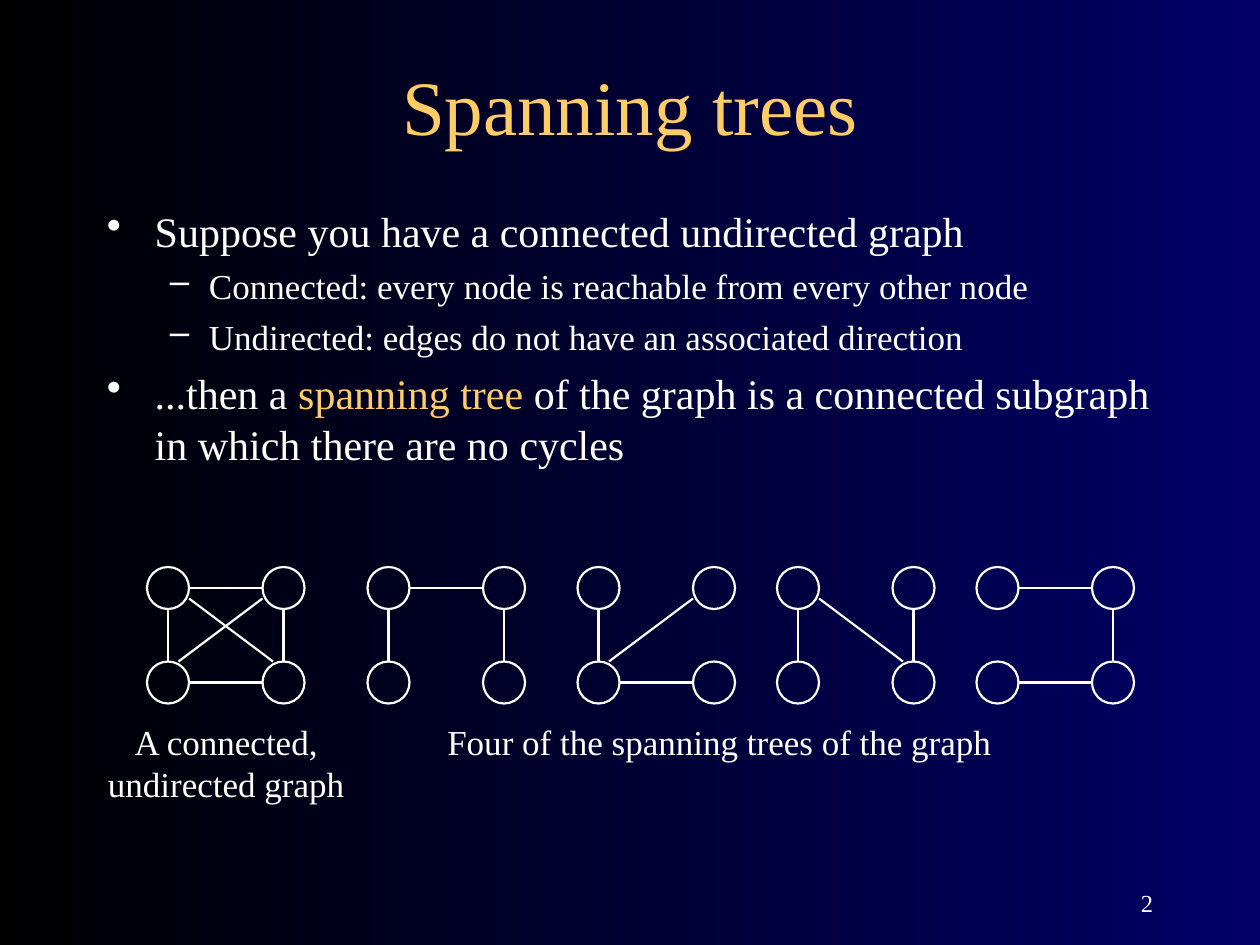
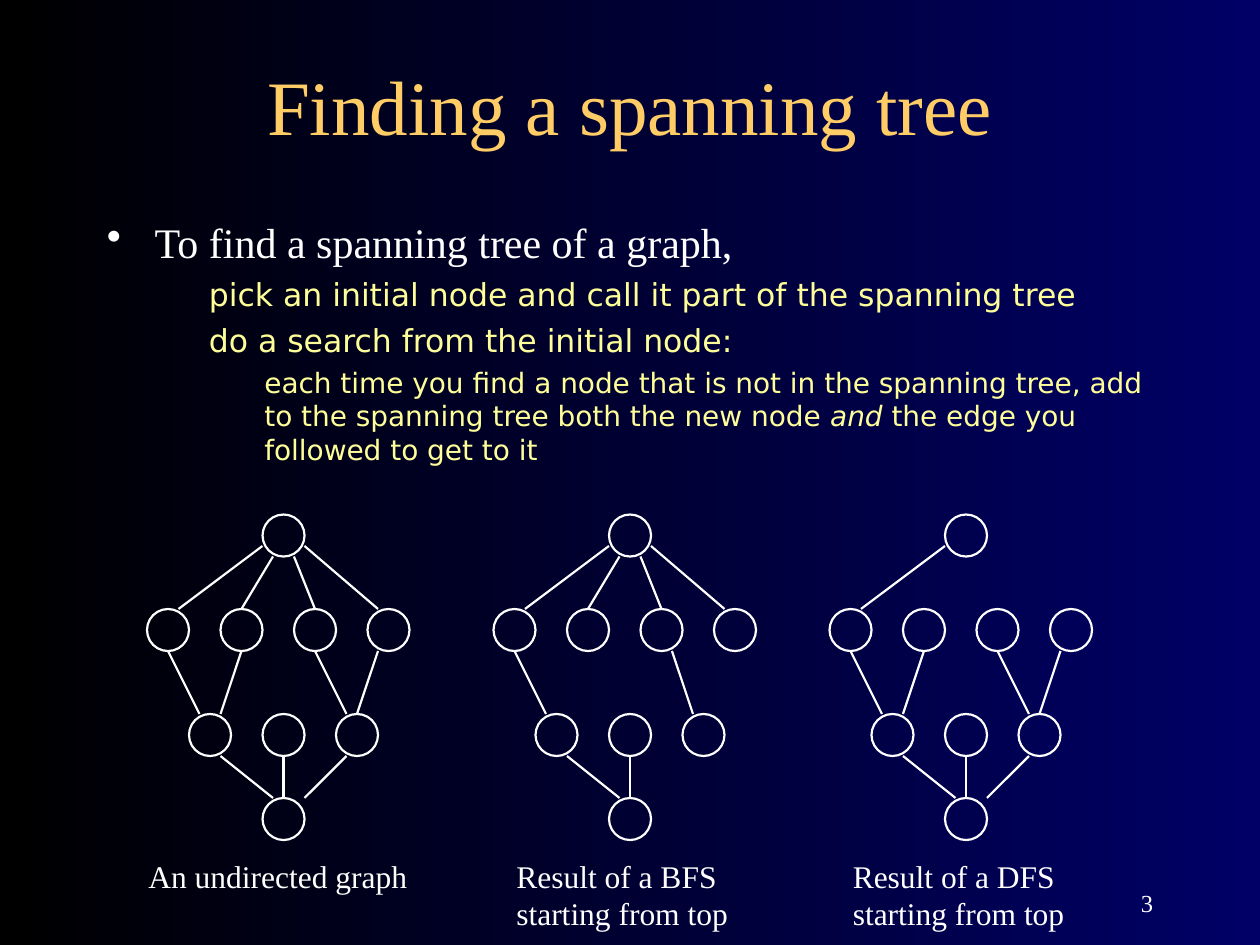
from lxml import etree
from pptx import Presentation
from pptx import util as u
from pptx.dml import color
from pptx.enum import shapes, text
from pptx.oxml import ns

WHITE, GOLD, YELLOW, NAVY, BLACK = "FFFFFF", "FFCC66", "FFFF99", "000066", "000000"
SERIF, SANS = "Times New Roman", "DejaVu Sans"
NODE = 4

LEVELS = {
    "point": dict(level=0, left=0.38, hang=0.38, bullet="•", size=24, font=SERIF, hue=WHITE),
    "detail": dict(level=1, left=0.81, hang=0.31, bullet="–", size=20, font=SERIF, hue=WHITE),
    "step": dict(level=1, left=0.81, hang=0, bullet=None, size=18, font=SANS, hue=YELLOW),
    "substep": dict(level=2, left=1.25, hang=0, bullet=None, size=16, font=SANS, hue=YELLOW),
}

SQUARE_NODES = [(x, y) for x in (0, 11) for y in (0, 9)]
SQUARE_EDGES = {
    "left": (2, 4, 2, 9),
    "right": (13, 4, 13, 9),
    "top": (4, 2, 11, 2),
    "bottom": (4, 11, 11, 11),
    "rising": (3, 9, 11, 3),
    "falling": (4, 3, 12, 9),
}
SPANNING_TREES = [
    (35, ["left", "right", "top"]),
    (55, ["left", "bottom", "rising"]),
    (74, ["left", "right", "falling"]),
    (93, ["right", "top", "bottom"]),
]

LAYERS = [(0, [11]), (9, [0, 7, 14, 21]), (19, [4, 11, 18]), (27, [11])]
LAYERED_NODES = [(x, y) for y, xs in LAYERS for x in xs]
LAYERED_EDGES = {
    "ab": (11, 3, 3, 9),
    "ac": (9, 9, 12, 4),
    "ad": (16, 9, 14, 4),
    "ae": (22, 9, 15, 3),
    "bf": (5, 19, 2, 13),
    "cf": (9, 13, 7, 19),
    "dh": (16, 13, 19, 19),
    "dh steep": (17, 13, 19, 19),
    "eh": (22, 13, 20, 19),
    "fi": (7, 23, 12, 27),
    "gi": (13, 23, 13, 27),
    "hi": (19, 23, 15, 27),
}
SEARCHES = [
    (14, ["ab", "ac", "ad", "ae", "bf", "cf", "dh", "eh", "fi", "gi", "hi"],
     "An undirected graph", (1.08, 6.75, 2.5, 0.4)),
    (47, ["ab", "ac", "ad", "ae", "bf", "dh steep", "fi", "gi"],
     "Result of a BFS\nstarting from top", (4, 6.75, 2, 0.7)),
    (79, ["ab", "bf", "cf", "dh", "eh", "fi", "gi", "hi"],
     "Result of a DFS\nstarting from top", (6.67, 6.75, 2, 0.7)),
]


def rgb(value):
    return color.RGBColor.from_string(value)


def twelfths(*values):
    return [u.Inches(v / 12) for v in values]


def style(font, size, hue, name=SERIF):
    font.name = name
    font.size = u.Pt(size)
    font.color.rgb = rgb(hue)


def add_box(parent, at, anchor=text.MSO_ANCHOR.TOP):
    tf = parent.shapes.add_textbox(*map(u.Inches, at)).text_frame
    tf.word_wrap = True
    tf.vertical_anchor = anchor
    return tf


def add_label(parent, at, words, size, hue=WHITE, align=text.PP_ALIGN.LEFT,
              anchor=text.MSO_ANCHOR.TOP):
    p = add_box(parent, at, anchor).paragraphs[0]
    p.text = words
    p.alignment = align
    for r in p.runs:
        style(r.font, size, hue)


def set_bullet(p, left, hang, bullet):
    pPr = p._p.get_or_add_pPr()
    pPr.set("marL", str(u.Inches(left)))
    pPr.set("indent", str(-u.Inches(hang)))
    if bullet:
        etree.SubElement(pPr, ns.qn("a:buChar")).set("char", bullet)
    else:
        etree.SubElement(pPr, ns.qn("a:buNone"))


def add_body(s, at, items):
    tf = add_box(s, at)
    for i, (kind, *runs) in enumerate(items):
        look = LEVELS[kind]
        p = tf.add_paragraph() if i else tf.paragraphs[0]
        p.level = look["level"]
        set_bullet(p, look["left"], look["hang"], look["bullet"])
        if i:
            p.space_before = u.Pt(look["size"] / 4)
        for words, *emphasis in runs:
            r = p.add_run()
            r.text = words
            hue = GOLD if "term" in emphasis else look["hue"]
            style(r.font, look["size"], hue, look["font"])
            if "italic" in emphasis:
                r.font.italic = True


def add_slide(prs, title, number):
    s = prs.slides.add_slide(prs.slide_layouts[6])
    fill = s.background.fill
    fill.gradient()
    fill.gradient_angle = 180
    for stop, hue in zip(fill.gradient_stops, (NAVY, BLACK)):
        stop.color.rgb = rgb(hue)
    add_label(s, (0.75, 0.42, 8.5, 0.83), title, 44, GOLD,
              text.PP_ALIGN.CENTER, text.MSO_ANCHOR.MIDDLE)
    add_label(s, (7.17, 6.83, 2.08, 0.5), str(number), 14,
              align=text.PP_ALIGN.RIGHT, anchor=text.MSO_ANCHOR.BOTTOM)
    return s


def outline(line):
    line.color.rgb = rgb(WHITE)
    line.width = u.Pt(1.25)


def add_node(group, x, y):
    sp = group.shapes.add_shape(shapes.MSO_SHAPE.OVAL, *twelfths(x, y, NODE, NODE))
    sp.shadow.inherit = False
    sp.fill.background()
    outline(sp.line)


def add_edge(group, x1, y1, x2, y2):
    c = group.shapes.add_connector(shapes.MSO_CONNECTOR.STRAIGHT,
                                   *twelfths(x1, y1, x2, y2))
    outline(c.line)
    etree.SubElement(c._element.spPr, ns.qn("a:effectLst"))


def add_graph(group, left, top, nodes, edges):
    for x, y in nodes:
        add_node(group, left + x, top + y)
    for x1, y1, x2, y2 in edges:
        add_edge(group, left + x1, top + y1, left + x2, top + y2)


def add_square_graph(group, left, names):
    add_graph(group, left, 54, SQUARE_NODES, [SQUARE_EDGES[n] for n in names])


def add_layered_graph(group, left, names):
    add_graph(group, left, 49, LAYERED_NODES, [LAYERED_EDGES[n] for n in names])


def spanning_trees(prs):
    s = add_slide(prs, "Spanning trees", 2)
    add_body(s, (0.75, 1.58, 8.5, 2.37), [
        ("point", ("Suppose you have a connected undirected graph",)),
        ("detail", ("Connected: every node is reachable from every other node",)),
        ("detail", ("Undirected: edges do not have an associated direction",)),
        ("point", ("...then a ",), ("spanning tree", "term"),
         (" of the graph is a connected subgraph in which there are no cycles",)),
    ])
    graph = s.shapes.add_group_shape()
    add_square_graph(graph, 14, SQUARE_EDGES)
    add_label(graph, (0.67, 5.67, 2.25, 0.77), "A connected,\nundirected graph", 20,
              align=text.PP_ALIGN.CENTER)
    trees = s.shapes.add_group_shape()
    for left, names in SPANNING_TREES:
        add_square_graph(trees, left, names)
    add_label(trees, (2.92, 5.67, 5.58, 0.44), "Four of the spanning trees of the graph", 20,
              align=text.PP_ALIGN.CENTER)


def finding_a_tree(prs):
    s = add_slide(prs, "Finding a spanning tree", 3)
    add_body(s, (0.75, 1.67, 8.5, 2.58), [
        ("point", ("To find a spanning tree of a graph,",)),
        ("step", ("pick an initial node and call it part of the spanning tree",)),
        ("step", ("do a search from the initial node:",)),
        ("substep", ("each time you find a node that is not in the spanning tree, "
                     "add to the spanning tree both the new node ",),
         ("and", "italic"), (" the edge you followed to get to it",)),
    ])
    for left, names, caption, at in SEARCHES:
        group = s.shapes.add_group_shape()
        add_layered_graph(group, left, names)
        add_label(group, at, caption, 18)


def main():
    prs = Presentation()
    prs.slide_width, prs.slide_height = u.Inches(10), u.Inches(7.5)
    spanning_trees(prs)
    finding_a_tree(prs)
    prs.save("out.pptx")


if __name__ == "__main__":
    main()
